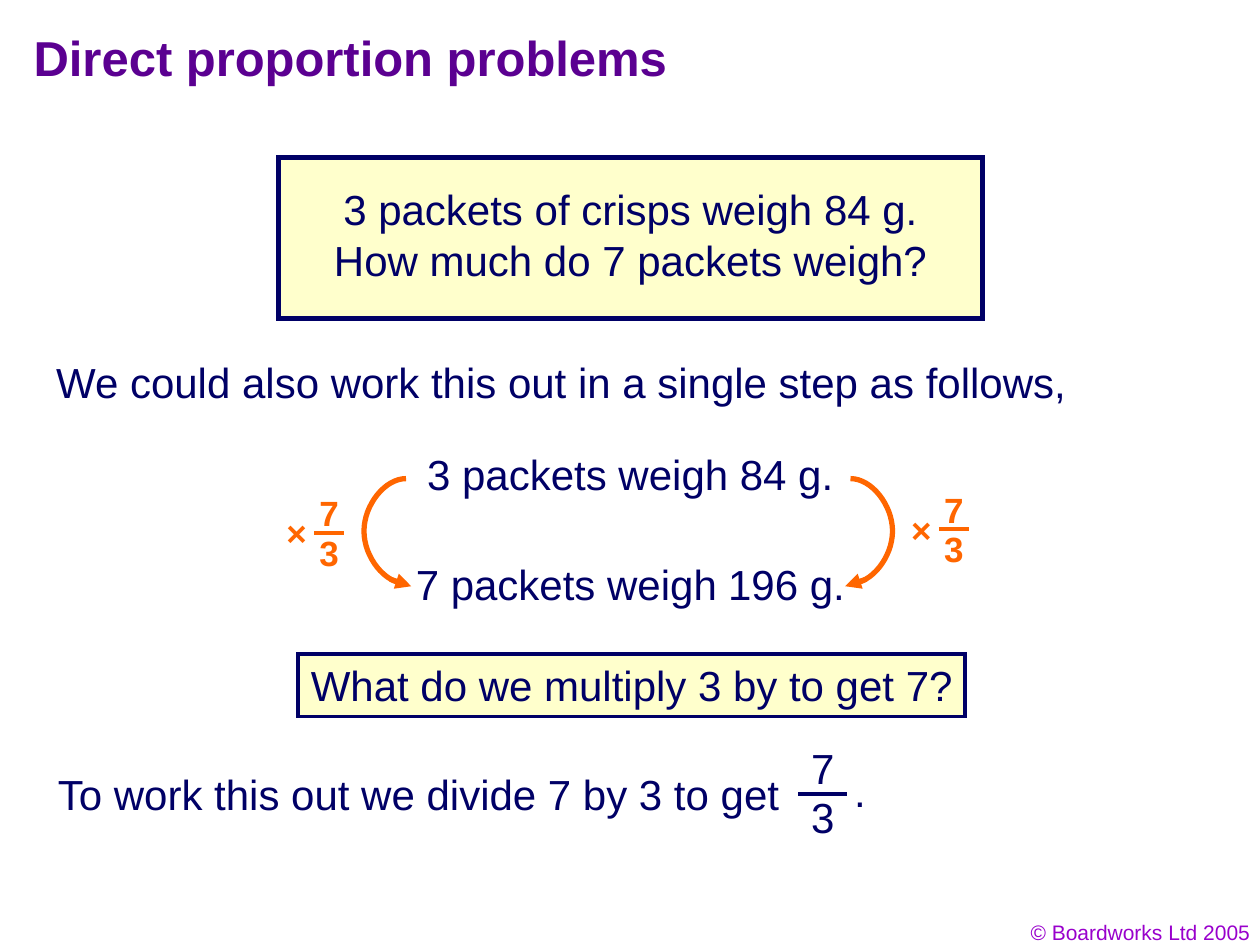
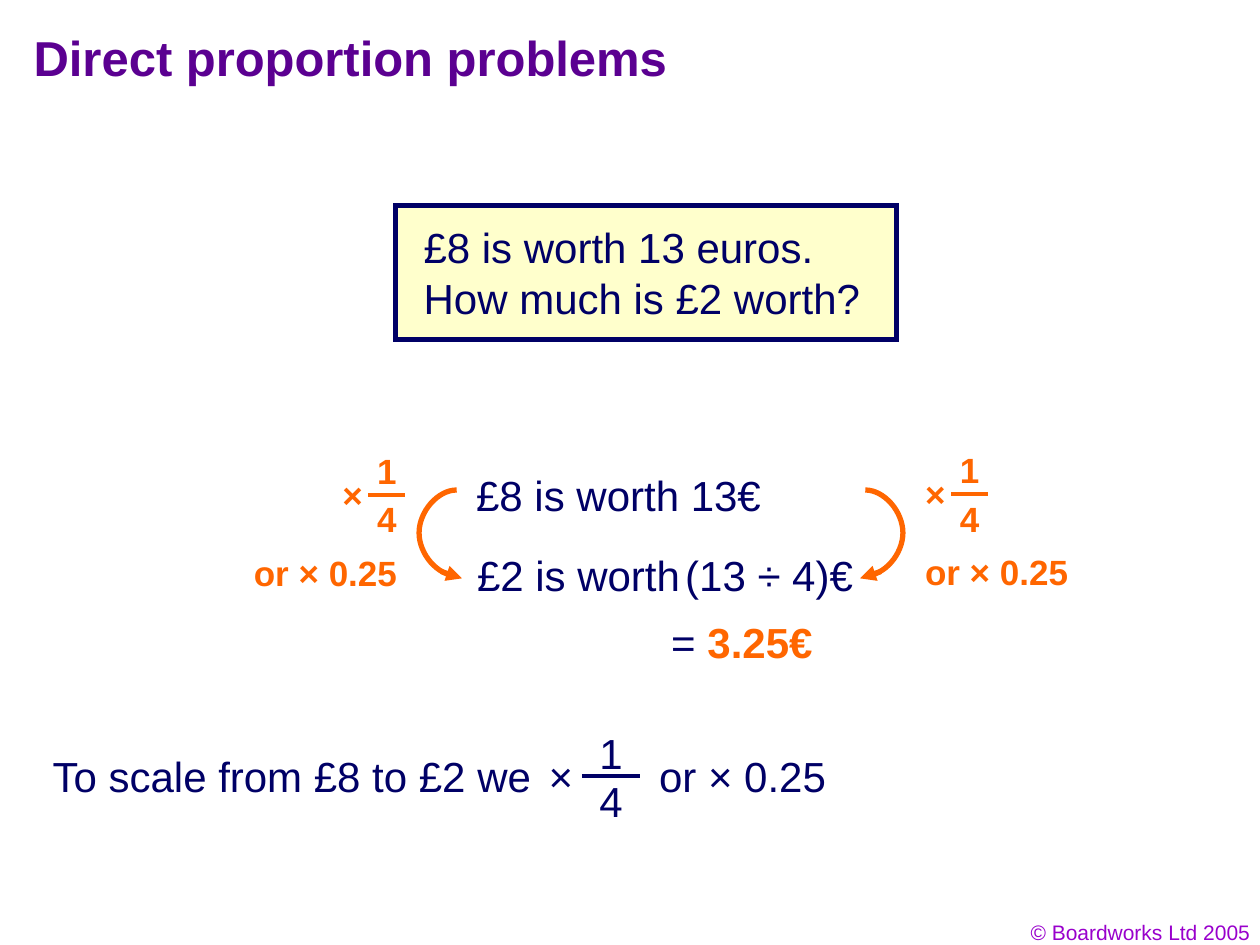
from dataclasses import dataclass

from lxml import etree
from pptx import Presentation
from pptx.dml.color import RGBColor
from pptx.enum.shapes import MSO_CONNECTOR, MSO_SHAPE
from pptx.enum.text import MSO_ANCHOR, MSO_AUTO_SIZE, PP_ALIGN
from pptx.oxml.ns import qn
from pptx.util import Pt

LEFT, CENTER, RIGHT = PP_ALIGN.LEFT, PP_ALIGN.CENTER, PP_ALIGN.RIGHT
TOP = MSO_ANCHOR.TOP
GROW, FIXED = MSO_AUTO_SIZE.SHAPE_TO_FIT_TEXT, MSO_AUTO_SIZE.NONE
RECT, STRAIGHT = MSO_SHAPE.RECTANGLE, MSO_CONNECTOR.STRAIGHT

FONT = "Arial"
NAVY, ORANGE, CREAM = "000066", "FF6600", "FFFFCC"
TITLE_PURPLE, FOOTER_PURPLE = "5B0091", "9900CC"
BODY, NOTE = 24, 20
LINE_HEIGHT = {12: 21.5, NOTE: 32, BODY: 36}
ARC_STEPS = 32


@dataclass
class Label:
    text: str
    x: float
    y: float
    w: float
    size: int = BODY
    color: str = NAVY
    align: PP_ALIGN = LEFT
    wrap: bool = False
    answer: str = ""


@dataclass
class Fraction:
    top: str
    bottom: str
    x: float
    y: float
    bar_w: float
    bar_dy: float
    gap: float
    size: int = BODY
    color: str = NAVY


@dataclass
class Arc:
    x: float
    y: float
    w: float
    h: float
    bow: int


@dataclass
class Question:
    lines: tuple[str, ...]
    x: float
    y: float
    w: float
    h: float
    pad_x: float
    pad_y: float
    align: PP_ALIGN


def rgb(color: str) -> RGBColor:
    return RGBColor.from_string(color)


def style(p, size: int, color: str, align: PP_ALIGN = LEFT, bold: bool = False) -> None:
    p.alignment = align
    p.font.name, p.font.size, p.font.bold = FONT, Pt(size), bold
    p.font.color.rgb = rgb(color)


def draw_label(s, label: Label) -> None:
    sp = s.shapes.add_textbox(Pt(label.x), Pt(label.y), Pt(label.w),
                              Pt(LINE_HEIGHT[label.size]))
    tf = sp.text_frame
    tf.word_wrap, tf.auto_size = label.wrap, GROW
    p = tf.paragraphs[0]
    p.add_run().text = label.text
    style(p, label.size, label.color, label.align, label.color == ORANGE)
    if label.answer:
        r = p.add_run()
        r.text, r.font.bold = label.answer, True
        r.font.color.rgb = rgb(ORANGE)


def draw_line(s, x1: float, y1: float, x2: float, y2: float,
              color: str, width: float, arrow: bool = False) -> None:
    line = s.shapes.add_connector(STRAIGHT, Pt(x1), Pt(y1), Pt(x2), Pt(y2))
    line.line.color.rgb, line.line.width = rgb(color), Pt(width)
    if arrow:
        etree.SubElement(line.line._get_or_add_ln(), qn("a:tailEnd"), type="triangle")
    etree.SubElement(line._element.spPr, qn("a:effectLst"))


def draw_fraction(s, f: Fraction) -> None:
    w = 27.5 if f.size == BODY else 25
    draw_label(s, Label(f.top, f.x, f.y, w, f.size, f.color))
    draw_label(s, Label(f.bottom, f.x, f.y + f.gap, w, f.size, f.color))
    bar_x, bar_y = f.x + (w - f.bar_w) / 2, f.y + f.bar_dy
    draw_line(s, bar_x, bar_y, bar_x + f.bar_w, bar_y, f.color, 2.25)


def arc_point(arc: Arc, t: float) -> tuple[int, int]:
    u = min(t, 1 - t) * 2
    across = 1.5 * (1 - u) ** 2 * u + 3 * (1 - u) * u ** 2 + u ** 3
    down = 0.75 * (1 - u) * u ** 2 + 0.5 * u ** 3
    return (Pt(arc.x + arc.bow * arc.w * across),
            Pt(arc.y + arc.h * (down if t <= 0.5 else 1 - down)))


def draw_arc(s, arc: Arc) -> None:
    points = [arc_point(arc, i / ARC_STEPS) for i in range(ARC_STEPS + 1)]
    builder = s.shapes.build_freeform(*points[0])
    builder.add_line_segments(points[1:], close=False)
    sp = builder.convert_to_shape()
    sp.shadow.inherit = False
    sp.fill.background()
    sp.line.color.rgb, sp.line.width = rgb(ORANGE), Pt(3)
    draw_line(s, arc.x + arc.bow * 9, arc.y + arc.h - 2.5,
              arc.x - arc.bow * 3, arc.y + arc.h + 1.5, ORANGE, 3, True)


def draw_panel(s, x: float, y: float, w: float, h: float, border: float = 0,
               lines: tuple[str, ...] = (), align: PP_ALIGN = LEFT,
               wrap: bool = True) -> None:
    sp = s.shapes.add_shape(RECT, Pt(x), Pt(y), Pt(w), Pt(h))
    sp.shadow.inherit = False
    sp.fill.solid()
    sp.fill.fore_color.rgb = rgb(CREAM)
    if border:
        sp.line.color.rgb, sp.line.width = rgb(NAVY), Pt(border)
        etree.SubElement(sp.line._get_or_add_ln(), qn("a:miter"), lim="800000")
    else:
        sp.line.fill.background()
    if lines:
        tf = sp.text_frame
        tf.text = "\n".join(lines)
        tf.word_wrap, tf.auto_size, tf.vertical_anchor = wrap, GROW, TOP
        for p in tf.paragraphs:
            style(p, BODY, NAVY, align)


def draw_question(s, q: Question) -> None:
    draw_panel(s, q.x, q.y, q.w, q.h, 3)
    draw_panel(s, q.x + q.pad_x, q.y + q.pad_y, q.w - 2 * q.pad_x, 65,
               lines=q.lines, align=q.align)


DRAW = {Label: draw_label, Fraction: draw_fraction, Arc: draw_arc, Question: draw_question}


def add_slide(prs, title_w: float, title_h: float, items: list):
    s = prs.slides.add_slide(prs.slide_layouts[5])
    title = s.shapes.title
    title.left, title.top, title.width, title.height = Pt(12), Pt(12), Pt(title_w), Pt(title_h)
    tf = title.text_frame
    tf.text = "Direct proportion problems"
    tf.vertical_anchor, tf.auto_size = TOP, FIXED
    style(tf.paragraphs[0], 28, TITLE_PURPLE, bold=True)
    draw_label(s, Label("© Boardworks Ltd 2005", 553.5, 522, 168, 12,
                        FOOTER_PURPLE, RIGHT, True))
    for item in items:
        DRAW[type(item)](s, item)
    return s


def crisps_slide(prs) -> None:
    s = add_slide(prs, 405.5, 42, [
        Question(("3 packets of crisps weigh 84 g.", "How much do 7 packets weigh?"),
                 159, 90, 402.5, 92, 12.5, 11.5, CENTER),
        Label("We could also work this out in a single step as follows,",
              25, 200, 669, wrap=True),
        Label("3 packets weigh 84 g.", 237, 252.5, 249),
        Label("7 packets weigh", 230.5, 315.5, 188),
        Label("196 g.", 409, 315.5, 83),
        Arc(232, 273.5, 24, 60, -1),
        Arc(486, 273.5, 24, 60, 1),
        Label("To work this out we divide 7 by 3 to get", 26, 435.5, 431),
        Fraction("7", "3", 456.5, 421, 28, 32.5, 28),
        Label(".", 481, 434, 21),
    ])
    for x, y in ((156.5, 289), (513.5, 287)):
        draw_label(s, Label("×", x, y, 26, NOTE, ORANGE))
        draw_fraction(s, Fraction("7", "3", x + 19, y - 11.5, 17, 27, 22.5, NOTE, ORANGE))
    draw_panel(s, 170.5, 373.5, 381, 36, 2.25,
               ("What do we multiply 3 by to get 7?",), wrap=False)


def euros_slide(prs) -> None:
    s = add_slide(prs, 630, 36, [
        Question(("£8 is worth 13 euros.", "How much is £2 worth?"),
                 226, 117.5, 286.5, 76.5, 9, 5.75, LEFT),
        Label("£8 is worth 13€", 265, 265, 179),
        Label("£2 is worth", 265.5, 310.5, 132),
        Label("(13 ÷ 4)€", 384.5, 310.5, 113),
        Label("= ", 376.5, 349, 97, answer="3.25€"),
        Arc(261, 280, 21.5, 49, -1),
        Arc(494.5, 280, 21.5, 49, 1),
        Label("To scale from £8 to £2 we", 23, 425.5, 299),
        Label("×", 306.5, 425.5, 35.5),
        Fraction("1", "4", 335.5, 412, 33.5, 31.5, 27.5),
        Label("or × 0.25", 369.5, 425.5, 118),
    ])
    for x, y, decimal_x in ((188.5, 267, 138), (521.5, 266.5, 521.5)):
        draw_label(s, Label("×", x, y, 31.5, NOTE, ORANGE))
        draw_fraction(s, Fraction("1", "4", x + 20, y - 13.5, 21, 29.5, 27.5, NOTE, ORANGE))
        draw_label(s, Label("or × 0.25", decimal_x, y + 44.5, 98, NOTE, ORANGE))


def main() -> None:
    prs = Presentation()
    prs.slide_width, prs.slide_height = Pt(720), Pt(540)
    crisps_slide(prs)
    euros_slide(prs)
    prs.save("out.pptx")


if __name__ == "__main__":
    main()
